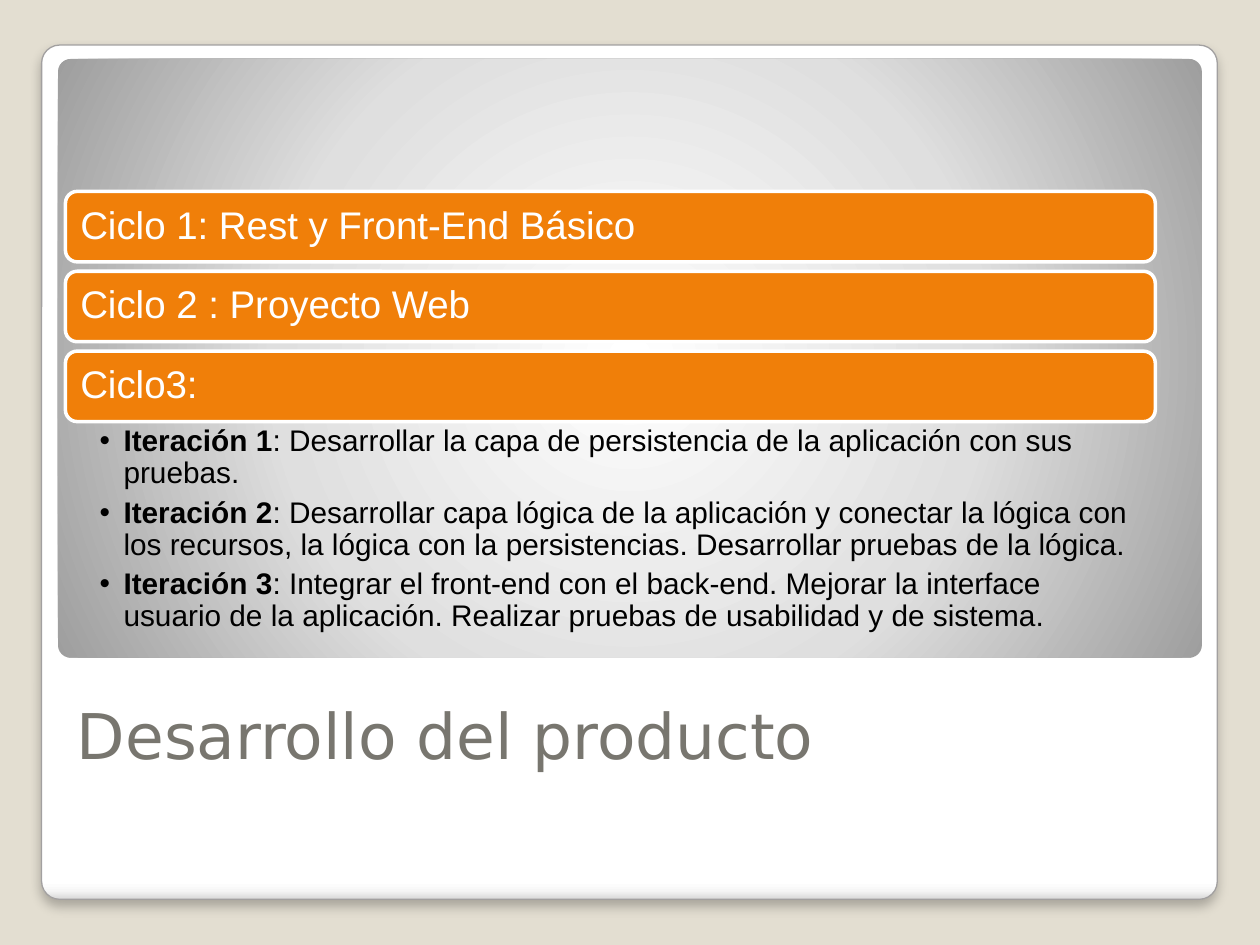
from lxml.etree import SubElement
from pptx import Presentation
from pptx.dml.color import RGBColor
from pptx.enum.shapes import MSO_SHAPE
from pptx.enum.text import MSO_ANCHOR, MSO_AUTO_SIZE, PP_ALIGN
from pptx.oxml import parse_xml
from pptx.oxml.ns import nsdecls, qn
from pptx.util import Cm, Pt

BACKGROUND = RGBColor(0xE3, 0xDE, 0xD1)
FRAME_LINE = RGBColor(0xA2, 0xA0, 0xA0)
TITLE_GREY = RGBColor(0x78, 0x76, 0x6F)
ORANGE = RGBColor(0xF0, 0x7F, 0x09)
WHITE = RGBColor(0xFF, 0xFF, 0xFF)
BLACK = RGBColor(0x00, 0x00, 0x00)

FRAME_STOPS = [(0, "FFFFFF"), (98, "FFFFFF"), (99, "F6F6F6"), (100, "D8D8D8")]
PANEL_STOPS = [(0, "FFFFFF"), (55, "DFDFDF"), (100, "9E9E9E")]
DOWNWARD = '<a:lin ang="5400000" scaled="0"/>'
FROM_CENTRE = ('<a:path path="circle"><a:fillToRect l="50000" t="50000" '
               'r="50000" b="50000"/></a:path>')

CYCLES = ["Ciclo 1: Rest y Front-End Básico", "Ciclo 2 : Proyecto Web", "Ciclo3:"]
ITERATIONS = [
    ("Iteración 1", ": Desarrollar la capa de persistencia de la aplicación con sus pruebas."),
    ("Iteración 2", ": Desarrollar capa lógica de la aplicación y conectar la lógica con los "
                    "recursos, la lógica con la persistencias. Desarrollar pruebas de la lógica."),
    ("Iteración 3", ": Integrar el front-end con el back-end. Mejorar la interface usuario de la "
                    "aplicación. Realizar pruebas de usabilidad y de sistema."),
]


def add_text(paragraph, text, font="Arial", size=17, color=BLACK, bold=False):
    run = paragraph.add_run()
    run.text = text
    run.font.name = font
    run.font.size = Pt(size)
    run.font.bold = bold
    run.font.color.rgb = color


class SlideBuilder:
    left, width = 1.32, 21.97

    def __init__(self, slide):
        self.slide = slide
        fill = slide.background.fill
        fill.solid()
        fill.fore_color.rgb = BACKGROUND

    def rounded(self, left, top, width, height):
        shape = self.slide.shapes.add_shape(
            MSO_SHAPE.ROUNDED_RECTANGLE, Cm(left), Cm(top), Cm(width), Cm(height))
        shape.shadow.inherit = False
        return shape

    def card(self, box, stops, direction, line=None, shadow=False):
        shape = self.rounded(*box)
        shape.adjustments[0] = 0.021
        shape.fill.background()
        properties = shape._element.spPr
        stop_xml = "".join(f'<a:gs pos="{position * 1000}"><a:srgbClr val="{color}"/></a:gs>'
                           for position, color in stops)
        properties.replace(properties.find(qn("a:noFill")), parse_xml(
            f'<a:gradFill {nsdecls("a")} rotWithShape="1"><a:gsLst>{stop_xml}</a:gsLst>'
            f'{direction}</a:gradFill>'))
        if line is None:
            shape.line.fill.background()
        else:
            shape.line.color.rgb = line
            shape.line.width = Pt(0.75)
        if shadow:
            properties.find(qn("a:effectLst")).append(parse_xml(
                f'<a:outerShdw {nsdecls("a")} blurRad="{Pt(6)}" dist="{Pt(4)}" dir="5400000" '
                'algn="t" rotWithShape="0"><a:srgbClr val="000000"><a:alpha val="25000"/>'
                '</a:srgbClr></a:outerShdw>'))

    def bar(self, top, text):
        shape = self.rounded(self.left, top, self.width, 1.42)
        shape.fill.solid()
        shape.fill.fore_color.rgb = ORANGE
        shape.line.color.rgb = WHITE
        shape.line.width = Pt(2)
        self.frame(shape, MSO_ANCHOR.MIDDLE, 0.23, 0.23, 0.23, 0.23)
        paragraph = shape.text_frame.paragraphs[0]
        paragraph.alignment = PP_ALIGN.LEFT
        paragraph.line_spacing = 0.9
        add_text(paragraph, text, size=22, color=WHITE)

    def frame(self, shape, anchor, left, top, right, bottom):
        frame = shape.text_frame
        frame.word_wrap = True
        frame.auto_size = MSO_AUTO_SIZE.NONE
        frame.vertical_anchor = anchor
        frame.margin_left, frame.margin_top = Cm(left), Cm(top)
        frame.margin_right, frame.margin_bottom = Cm(right), Cm(bottom)

    def place(self, placeholder, left, top, width, height):
        placeholder.left, placeholder.top = Cm(left), Cm(top)
        placeholder.width, placeholder.height = Cm(width), Cm(height)
        self.slide.shapes._spTree.append(placeholder._element)

    def title(self, text):
        title = self.slide.shapes.title
        self.place(title, 1.3, 13.69, 22.73, 1.88)
        self.frame(title, MSO_ANCHOR.BOTTOM, 0.25, 0.13, 0.25, 0)
        paragraph = title.text_frame.paragraphs[0]
        paragraph.alignment = PP_ALIGN.LEFT
        add_text(paragraph, text, font="DejaVu Sans", size=36, color=TITLE_GREY)

    def bullets(self, top, items):
        body = self.slide.placeholders[1]
        self.place(body, self.left, top, self.width, 4.17)
        self.frame(body, MSO_ANCHOR.TOP, 0.69, 0.08, 0.43, 0.08)
        for index, (label, description) in enumerate(items):
            frame = body.text_frame
            paragraph = frame.add_paragraph() if index else frame.paragraphs[0]
            paragraph.level = 1
            paragraph.line_spacing = 0.9
            paragraph.space_before = Pt(0)
            paragraph.space_after = Pt(4)
            properties = paragraph._p.get_or_add_pPr()
            properties.set("marL", str(Cm(0.48)))
            properties.set("indent", str(-Cm(0.48)))
            SubElement(properties, qn("a:buFont"), typeface="Arial")
            SubElement(properties, qn("a:buChar"), char="•")
            add_text(paragraph, label, bold=True)
            add_text(paragraph, description)


def main():
    presentation = Presentation()
    presentation.slide_width, presentation.slide_height = Cm(25.4), Cm(19.05)
    builder = SlideBuilder(presentation.slides.add_slide(presentation.slide_layouts[1]))
    builder.card((0.84, 0.91, 23.7, 17.22), FRAME_STOPS, DOWNWARD, line=FRAME_LINE, shadow=True)
    builder.card((1.17, 1.19, 23.06, 12.07), PANEL_STOPS, FROM_CENTRE)
    builder.title("Desarrollo del producto")
    for index, cycle in enumerate(CYCLES):
        builder.bar(3.86 + 1.61 * index, cycle)
    builder.bullets(8.51, ITERATIONS)
    presentation.save("out.pptx")


if __name__ == "__main__":
    main()
